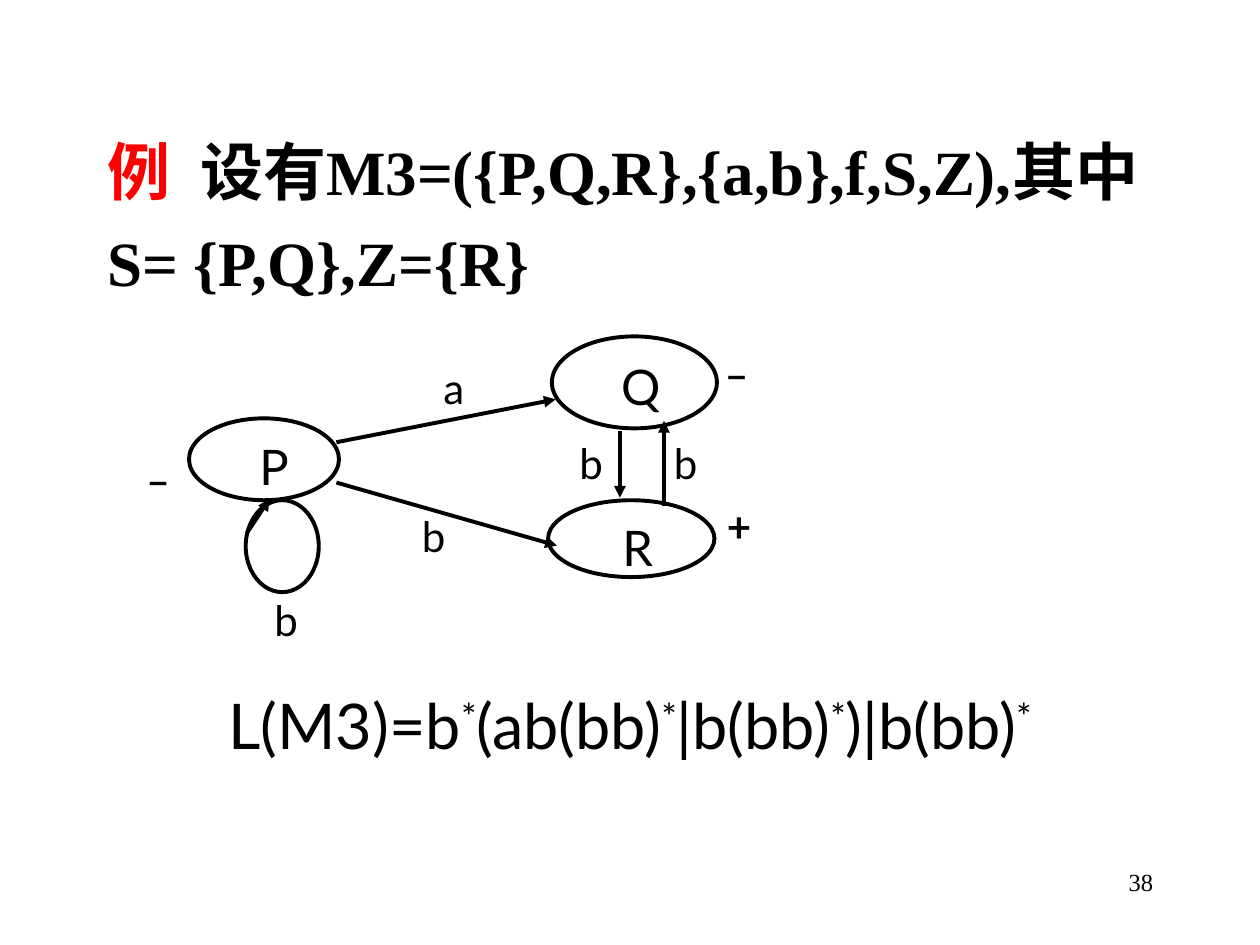
import pptx
import pptx.dml.color
import pptx.enum.shapes
import pptx.enum.text
import pptx.oxml
import pptx.oxml.ns
import pptx.util
from pptx.util import Inches

COLORS = {"ink": "000000", "accent": "FF0000"}
SERIF, SANS, CJK = "Times New Roman", "Lato", "Noto Sans CJK SC"
ALIGN = pptx.enum.text.PP_ALIGN
ANCHOR = pptx.enum.text.MSO_ANCHOR


def rgb(name):
    return pptx.dml.color.RGBColor.from_string(COLORS[name])


def add_xml(parent, tag, **attrs):
    child = pptx.oxml.parse_xml(f"<a:{tag} {pptx.oxml.ns.nsdecls('a')}/>")
    for key, value in attrs.items():
        child.set(key, value)
    parent.append(child)


class Diagram:
    """Holds the line style, the slide and the shape tree being drawn into."""

    line_width = pptx.util.Pt(2.25)

    def __init__(self, slide):
        self.slide = slide
        self.shapes = slide.shapes

    def start_group(self):
        self.shapes = self.slide.shapes.add_group_shape().shapes

    def end_group(self):
        self.shapes = self.slide.shapes

    def run(self, p, text, size, font=SANS, bold=False, color="ink", **attrs):
        """Add a run; attrs are raw rPr attributes such as baseline or spc."""
        r = p.add_run()
        r.text = text
        formats = {"size": pptx.util.Pt(size), "name": font, "bold": bold}
        for key, value in formats.items():
            setattr(r.font, key, value)
        r.font.color.rgb = rgb(color)
        rPr = r.font._element
        add_xml(rPr, "ea", typeface=CJK)
        for key, value in attrs.items():
            rPr.set(key, value)

    def body(self, paragraphs, left, top, width, height):
        sp = self.slide.placeholders[1]
        bounds = {"left": left, "top": top, "width": width, "height": height}
        for key, value in bounds.items():
            setattr(sp, key, Inches(value))
        tf = sp.text_frame
        tf.auto_size = pptx.enum.text.MSO_AUTO_SIZE.NONE
        for i, runs in enumerate(paragraphs):
            p = tf.add_paragraph() if i else tf.paragraphs[0]
            p.alignment = ALIGN.JUSTIFY
            p.space_before = pptx.util.Pt(9)
            pPr = p._p.get_or_add_pPr()
            pPr.set("marL", str(Inches(0.38)))
            pPr.set("indent", str(Inches(-0.38)))
            add_xml(pPr, "buNone")
            for text, style in runs:
                self.run(p, text, 36, bold=True, **style)

    def text(self, runs, left, top, width, height, size=24, align=ALIGN.LEFT,
             anchor=ANCHOR.TOP, wrap=True, **style):
        sp = self.shapes.add_textbox(*map(Inches, (left, top, width, height)))
        tf = sp.text_frame
        tf.word_wrap = wrap
        tf.vertical_anchor = anchor
        p = tf.paragraphs[0]
        p.alignment = align
        for text, attrs in runs:
            self.run(p, text, size, **style, **attrs)

    def ellipse(self, left, top, width, height, label="", shift=0.0):
        """Draw an outlined ellipse; shift moves its label to the right."""
        sp = self.shapes.add_shape(pptx.enum.shapes.MSO_SHAPE.OVAL,
                                   *map(Inches, (left, top, width, height)))
        sp.shadow.inherit = False
        sp.fill.background()
        sp.line.color.rgb = rgb("ink")
        sp.line.width = self.line_width
        if label:
            tf = sp.text_frame
            tf.vertical_anchor = ANCHOR.TOP
            tf.margin_left = Inches(0.1 + 2 * shift)
            tf.paragraphs[0].alignment = ALIGN.CENTER
            self.run(tf.paragraphs[0], label, 28)

    def arrow(self, x1, y1, x2, y2):
        c = self.shapes.add_connector(pptx.enum.shapes.MSO_CONNECTOR.STRAIGHT,
                                      *map(Inches, (x1, y1, x2, y2)))
        c.line.color.rgb = rgb("ink")
        c.line.width = self.line_width
        add_xml(c.line._get_or_add_ln(), "tailEnd", type="triangle")
        add_xml(c._element.spPr, "effectLst")


def main():
    prs = pptx.Presentation()
    prs.slide_width, prs.slide_height = Inches(10), Inches(7.5)
    s = prs.slides.add_slide(prs.slide_layouts[1])
    title = s.shapes.title._element
    title.getparent().remove(title)
    d = Diagram(s)

    d.text([("38", {})], 7.17, 6.83, 2.08, 0.5, size=14, font=SERIF, align=ALIGN.RIGHT)
    serif = {"font": SERIF}
    d.body([
        [("例", {"font": SERIF, "color": "accent"}),
         (" ", {"font": SERIF, "spc": "900"}),
         ("设有", {"font": CJK}),
         ("M3=({P,Q,R},{a,b},f,S,Z),其中", serif)],
        [("S= {P,Q},Z={R}", serif)],
    ], 0.75, 1, 8.83, 5.67)

    d.start_group()
    states = [
        ("P", 1.5, 3.32, 1.19, 0.65, 0.08),
        ("Q", 4.38, 2.67, 1.31, 0.73, 0.05),
        ("R", 4.35, 3.97, 1.32, 0.61, 0.05),
    ]
    for name, left, top, width, height, shift in states:
        d.ellipse(left, top, width, height, name, shift)
    d.ellipse(1.95, 3.97, 0.58, 0.73)  # loop on P

    transitions = [
        (4.92, 3.42, 4.92, 3.95),  # Q to R
        (5.27, 4.02, 5.27, 3.34),  # R to Q
        (2.67, 3.51, 4.41, 3.17),  # P to Q
        (1.96, 4.23, 2.14, 3.96),  # P to P
        (2.67, 3.83, 4.42, 4.33),  # P to R
    ]
    for ends in transitions:
        d.arrow(*ends)

    inputs = [("a", 3.42, 2.83), ("b", 2.08, 4.67), ("b", 3.25, 4),
              ("b", 4.5, 3.42), ("b", 5.25, 3.42)]
    state_signs = [("_", 1.08, 3.42), ("_", 5.67, 2.58), ("+", 5.67, 3.92)]
    for labels, bold in ((inputs, False), (state_signs, True)):
        for label, left, top in labels:
            d.text([(label, {})], left, top, 0.42, 0.5, bold=bold)
    d.end_group()

    star = ("*", {"baseline": "30000"})
    language = []
    for part in ("L(M3)=b", "(ab(bb)", "|b(bb)", ")|b(bb)"):
        language += [(part, {}), star]
    d.text(language, 0.75, 5.33, 8.5, 0.83, size=36, align=ALIGN.CENTER,
           anchor=ANCHOR.MIDDLE, wrap=False)

    prs.save("out.pptx")


if __name__ == "__main__":
    main()
